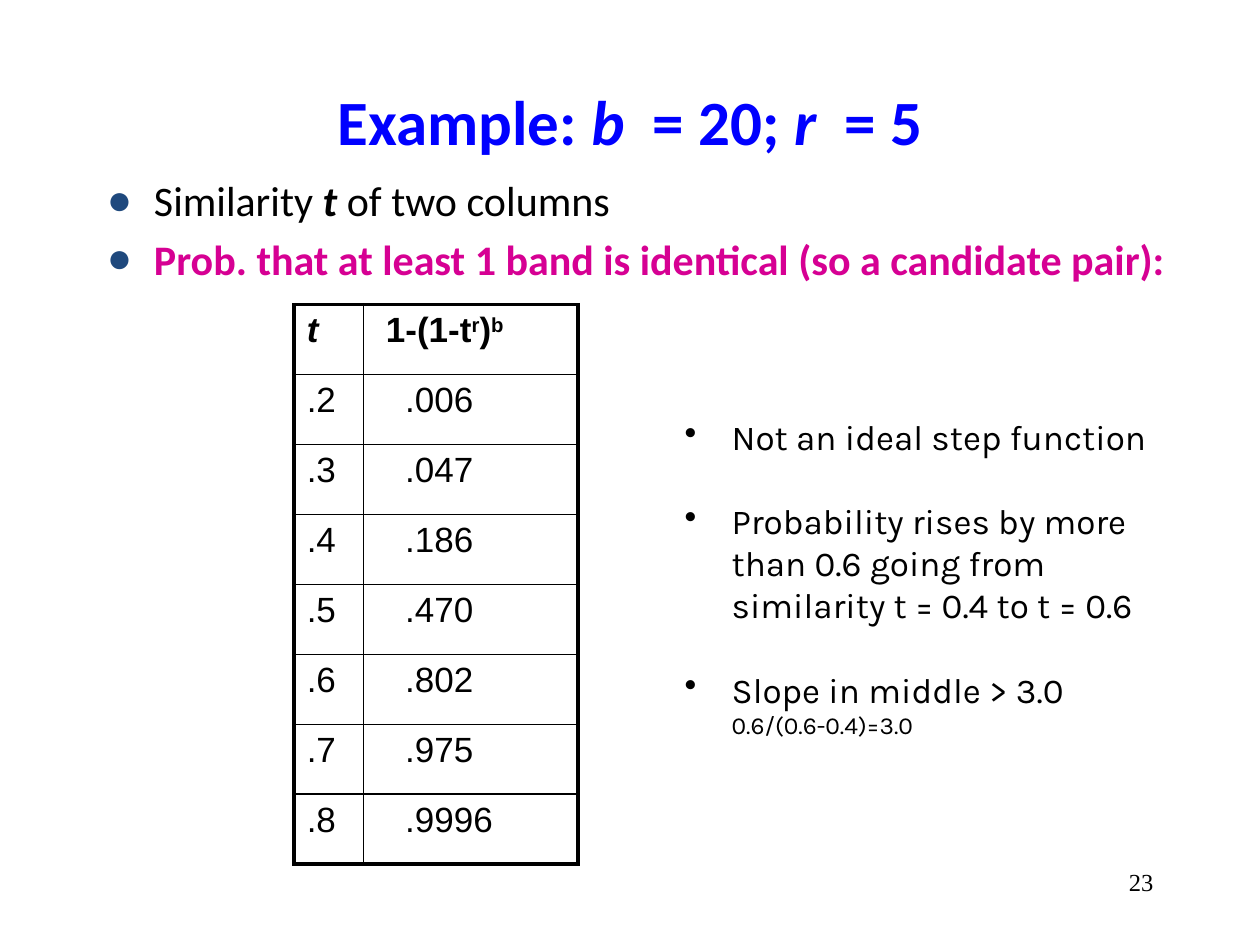
"""Build the slide on banding probabilities for b = 20 and r = 5."""
from pptx import Presentation
from pptx import util as u
from pptx.dml import color
from pptx.enum import text
from pptx.oxml import ns, xmlchemy

COLORS = {"title": "0000FF", "accent": "D60093", "bullet": "1F497D", "ink": "000000"}


def add_span(para, words, font, size, ink="ink", bold=False, italic=False, raised=False):
    """Add one formatted run to a paragraph."""
    span = para.add_run()
    span.text = words
    span.font.name = font
    span.font.size = u.Pt(size)
    span.font.bold = bold
    span.font.italic = italic
    span.font.color.rgb = color.RGBColor.from_string(COLORS[ink])
    if raised:
        span.font._element.set("baseline", "30000")


def add_bullet(para, char, ink, gap):
    """Give a paragraph a hanging bullet and space before it."""
    props = para._p.get_or_add_pPr()
    props.set("marL", str(u.Cm(0.95)))
    props.set("indent", str(-u.Cm(0.95)))
    tint = xmlchemy.OxmlElement("a:buClr")
    xmlchemy.SubElement = None
    value = xmlchemy.OxmlElement("a:srgbClr")
    value.set("val", COLORS[ink])
    tint.append(value)
    mark = xmlchemy.OxmlElement("a:buChar")
    mark.set("char", char)
    props.extend([tint, mark])
    para.space_before = u.Pt(gap)


deck = Presentation()
deck.slide_width, deck.slide_height = u.Cm(25.4), u.Cm(19.05)
page = deck.slides.add_slide(deck.slide_layouts[1])

title = page.shapes.title
title.left, title.top, title.width, title.height = u.Cm(1.9), u.Cm(0.85), u.Cm(21.6), u.Cm(3.17)
title.text_frame.auto_size = text.MSO_AUTO_SIZE.NONE
title.text_frame.vertical_anchor = text.MSO_ANCHOR.MIDDLE
para = title.text_frame.paragraphs[0]
para.alignment = text.PP_ALIGN.CENTER
for words, italic in [("Example: ", False), ("b", True), ("  = 20; ", False),
                      ("r", True), ("  = 5", False)]:
    add_span(para, words, "Calibri", 36, "title", bold=True, italic=italic)

body = page.placeholders[1]
body.left, body.top, body.width, body.height = u.Cm(1.9), u.Cm(3.39), u.Cm(22.65), u.Cm(12.9)
body.text_frame.auto_size = text.MSO_AUTO_SIZE.NONE
para = body.text_frame.paragraphs[0]
add_bullet(para, "●", "bullet", 0)
for words, strong in [("Similarity ", False), ("t", True), (" of two columns", False)]:
    add_span(para, words, "Calibri", 24, bold=strong, italic=strong)
para = body.text_frame.add_paragraph()
add_bullet(para, "●", "bullet", 4.8)
add_span(para, "Prob. that at least 1 band is identical (so a candidate pair):",
         "Calibri", 24, "accent", bold=True)

number = page.shapes.add_textbox(u.Cm(18.2), u.Cm(17.36), u.Cm(5.3), u.Cm(1.27))
number.text_frame.word_wrap = True
para = number.text_frame.paragraphs[0]
para.alignment = text.PP_ALIGN.RIGHT
add_span(para, "23", "Times New Roman", 14)

probabilities = [(".2", ".006"), (".3", ".047"), (".4", ".186"), (".5", ".470"),
                 (".6", ".802"), (".7", ".975"), (".8", ".9996")]
last_row = len(probabilities)
table = page.shapes.add_table(last_row + 1, 2, u.Cm(5.93), u.Cm(6.14),
                              u.Cm(5.72), u.Cm(11.28)).table
table.first_row = table.horz_banding = False
table.columns[0].width, table.columns[1].width = u.Cm(1.4), u.Cm(4.32)
for row in table.rows:
    row.height = u.Cm(1.41)

header = table.cell(0, 0).text_frame.paragraphs[0]
add_span(header, "t", "Arial", 20, bold=True, italic=True)
formula = table.cell(0, 1).text_frame.paragraphs[0]
for words, raised in [("1-(1-t", False), ("r", True), (")", False), ("b", True)]:
    add_span(formula, words, "Arial", 20, bold=True, raised=raised)
for index, values in enumerate(probabilities, 1):
    for column, value in enumerate(values):
        add_span(table.cell(index, column).text_frame.paragraphs[0], value, "Arial", 20)

for index in range(last_row + 1):
    table.cell(index, 1).margin_left = u.Cm(0.84 if index else 0.45)
    for column in range(2):
        cell = table.cell(index, column)
        props = cell._tc.get_or_add_tcPr()
        outer = {"L": column == 0, "R": column == 1, "T": index == 0, "B": index == last_row}
        for side, is_outer in outer.items():
            line = xmlchemy.OxmlElement(f"a:ln{side}")
            line.set("w", str(u.Pt(2.25 if is_outer else 1)))
            fill = xmlchemy.OxmlElement("a:solidFill")
            value = xmlchemy.OxmlElement("a:srgbClr")
            value.set("val", COLORS["ink"])
            fill.append(value)
            line.append(fill)
            props.append(line)
        cell.fill.background()

notes = page.shapes.add_textbox(u.Cm(13.55), u.Cm(8.26), u.Cm(10.16), u.Cm(7.09))
notes.text_frame.word_wrap = True
remarks = ["Not an ideal step function",
           "Probability rises by more than 0.6 going from similarity t = 0.4 to t = 0.6",
           "Slope in middle > 3.0"]
for index, words in enumerate(remarks):
    para = notes.text_frame.add_paragraph() if index else notes.text_frame.paragraphs[0]
    add_bullet(para, "•", "ink", 24 if index else 0)
    add_span(para, words, "Karla", 20)
para.add_line_break()
add_span(para, "0.6/(0.6-0.4)=3.0", "Karla", 14)

deck.save("out.pptx")
